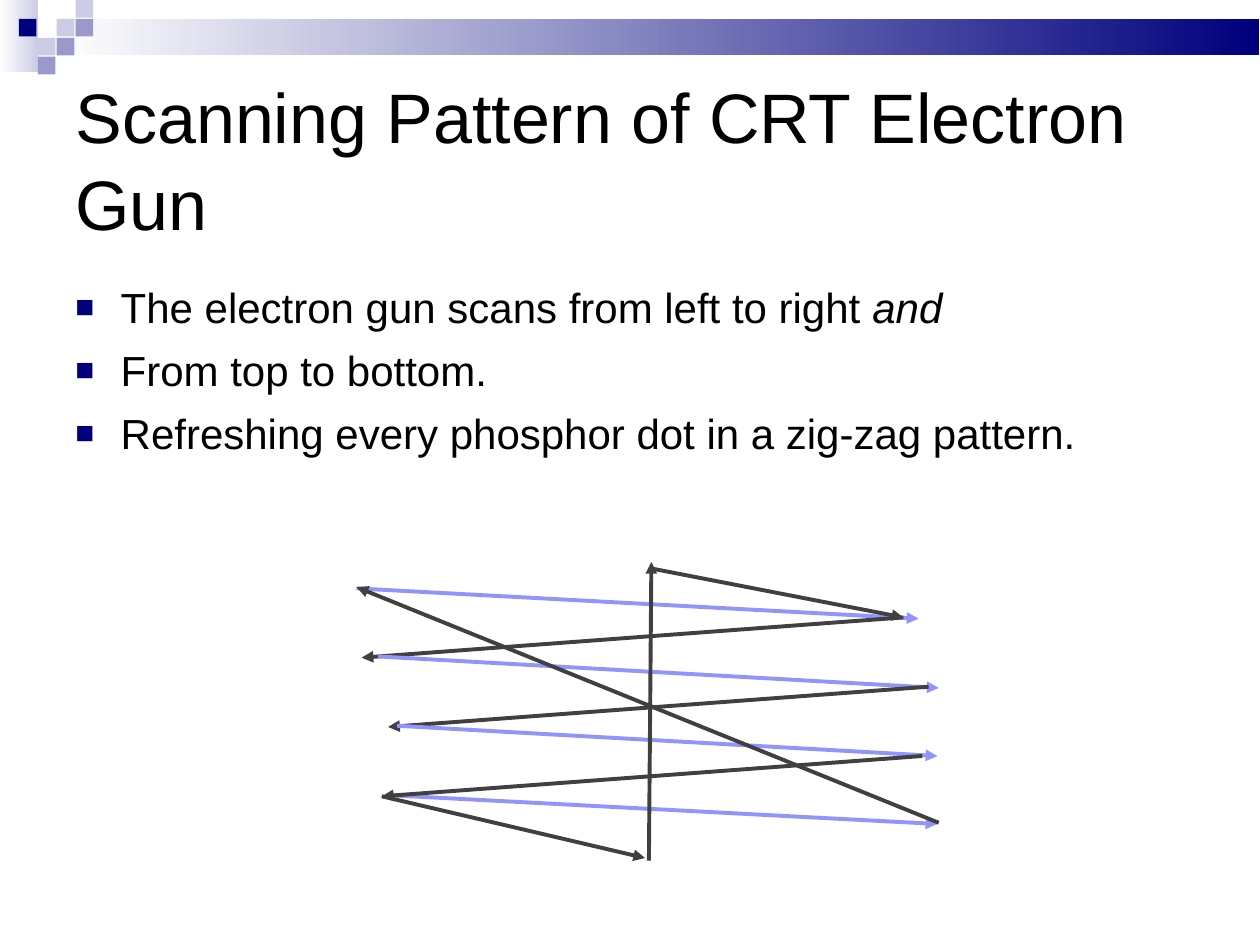
from lxml import etree
from pptx import Presentation, util as u
from pptx.dml.color import RGBColor
from pptx.enum import shapes, text
from pptx.oxml.ns import qn

NAVY, PERIWINKLE, LAVENDER = "00007D", "9999CC", "CCCCE6"
SWEEP, RETRACE = "9393FC", "404040"
FONT, LINE_SPACING = "Arial", 1.04
CELL = 0.15  # pitch of the corner mosaic, in inches

MOSAIC = [  # column, row, colour
    (3, 1, LAVENDER), (4, 0, LAVENDER), (4, 1, PERIWINKLE), (2, 2, LAVENDER),
    (1, 1, NAVY), (3, 2, PERIWINKLE), (2, 3, PERIWINKLE),
]
BULLETS = [
    [("The electron gun scans from left to right ", False), ("and", True)],
    [("From top to bottom.", False)],
    [("Refreshing every phosphor dot in a zig-zag pattern.", False)],
]
BEAM_PATHS = [  # start, end, colour
    ((2.83, 4.67), (7.29, 4.91), SWEEP),
    ((7.17, 4.9), (2.87, 5.22), RETRACE),
    ((3, 5.21), (7.45, 5.46), SWEEP),
    ((7.37, 5.45), (3.08, 5.77), RETRACE),
    ((3.15, 5.76), (7.44, 6), SWEEP),
    ((3.07, 6.31), (7.44, 6.54), SWEEP),
    ((7.32, 6), (3.03, 6.32), RETRACE),
    ((7.45, 6.53), (2.83, 4.66), RETRACE),
    ((5.15, 6.83), (5.17, 4.46), RETRACE),
    ((5.16, 4.51), (7.17, 4.9), RETRACE),
    ((3.03, 6.32), (5.12, 6.81), RETRACE),
]


def rgb(value):
    return RGBColor.from_string(value)


def inches(*lengths):
    return [u.Inches(length) for length in lengths]


def add_block(slide, box, colour, fade=False):
    """Add a borderless rectangle, optionally fading in from white."""
    block = slide.shapes.add_shape(shapes.MSO_SHAPE.RECTANGLE, *inches(*box))
    block.shadow.inherit = False
    block.line.fill.background()
    if fade:
        block.fill.gradient()
        block.fill.gradient_angle = 0
        for stop, shade in zip(block.fill.gradient_stops, ("FFFFFF", colour)):
            stop.color.rgb = rgb(shade)
    else:
        block.fill.solid()
        block.fill.fore_color.rgb = rgb(colour)


def add_header_band(slide):
    add_block(slide, (0, 0, 2 * CELL, 0.57), LAVENDER, fade=True)
    add_block(slide, (3 * CELL, CELL, 9.54, 0.29), NAVY, fade=True)
    for column, row, colour in MOSAIC:
        add_block(slide, (column * CELL, row * CELL, 0.14, 0.14), colour)


def format_paragraph(paragraph, size):
    paragraph.alignment = text.PP_ALIGN.LEFT
    paragraph.line_spacing = LINE_SPACING
    paragraph.font.name = FONT
    paragraph.font.size = u.Pt(size)
    paragraph.font.color.rgb = rgb("000000")


def set_title(slide, wording):
    title = slide.shapes.title
    title.left, title.top, title.width, title.height = inches(0.5, 0.5, 9, 1.5)
    frame = title.text_frame
    frame.text = wording
    frame.auto_size = text.MSO_AUTO_SIZE.NONE
    frame.vertical_anchor = text.MSO_ANCHOR.MIDDLE
    format_paragraph(frame.paragraphs[0], 40)


def add_square_bullet(paragraph):
    properties = paragraph._p.get_or_add_pPr()
    properties.set("marL", str(u.Inches(0.36)))
    properties.set("indent", str(u.Inches(-0.36)))
    marker = etree.Element(qn("a:buClr"))
    etree.SubElement(marker, qn("a:srgbClr"), val=NAVY)
    size = etree.Element(qn("a:buSzPct"), val="75000")
    typeface = etree.Element(qn("a:buFont"), typeface=FONT)
    symbol = etree.Element(qn("a:buChar"), char="■")
    # Bullet settings must precede the default run properties.
    for setting in (marker, size, typeface, symbol):
        properties.find(qn("a:defRPr")).addprevious(setting)


def add_bullets(slide, items):
    frame = slide.shapes.add_textbox(*inches(0.5, 2.17, 9, 4.25)).text_frame
    frame.word_wrap = True
    for index, item in enumerate(items):
        paragraph = frame.add_paragraph() if index else frame.paragraphs[0]
        format_paragraph(paragraph, 24)
        paragraph.space_before = u.Pt(6)
        add_square_bullet(paragraph)
        for wording, italic in item:
            run = paragraph.add_run()
            run.text = wording
            if italic:
                run.font.italic = True


def add_beam(slide, start, end, colour):
    beam = slide.shapes.add_connector(
        shapes.MSO_CONNECTOR.STRAIGHT, *inches(*start, *end))
    beam.line.color.rgb = rgb(colour)
    beam.line.width = u.Pt(2.25)
    etree.SubElement(beam.line._get_or_add_ln(), qn("a:tailEnd"), type="triangle")
    etree.SubElement(beam._element.spPr, qn("a:effectLst"))


def main():
    deck = Presentation()
    deck.slide_width, deck.slide_height = inches(10, 7.5)
    slide = deck.slides.add_slide(deck.slide_layouts.get_by_name("Title Only"))
    add_header_band(slide)
    set_title(slide, "Scanning Pattern of CRT Electron Gun")
    add_bullets(slide, BULLETS)
    for start, end, colour in BEAM_PATHS:
        add_beam(slide, start, end, colour)
    deck.save("out.pptx")


if __name__ == "__main__":
    main()
